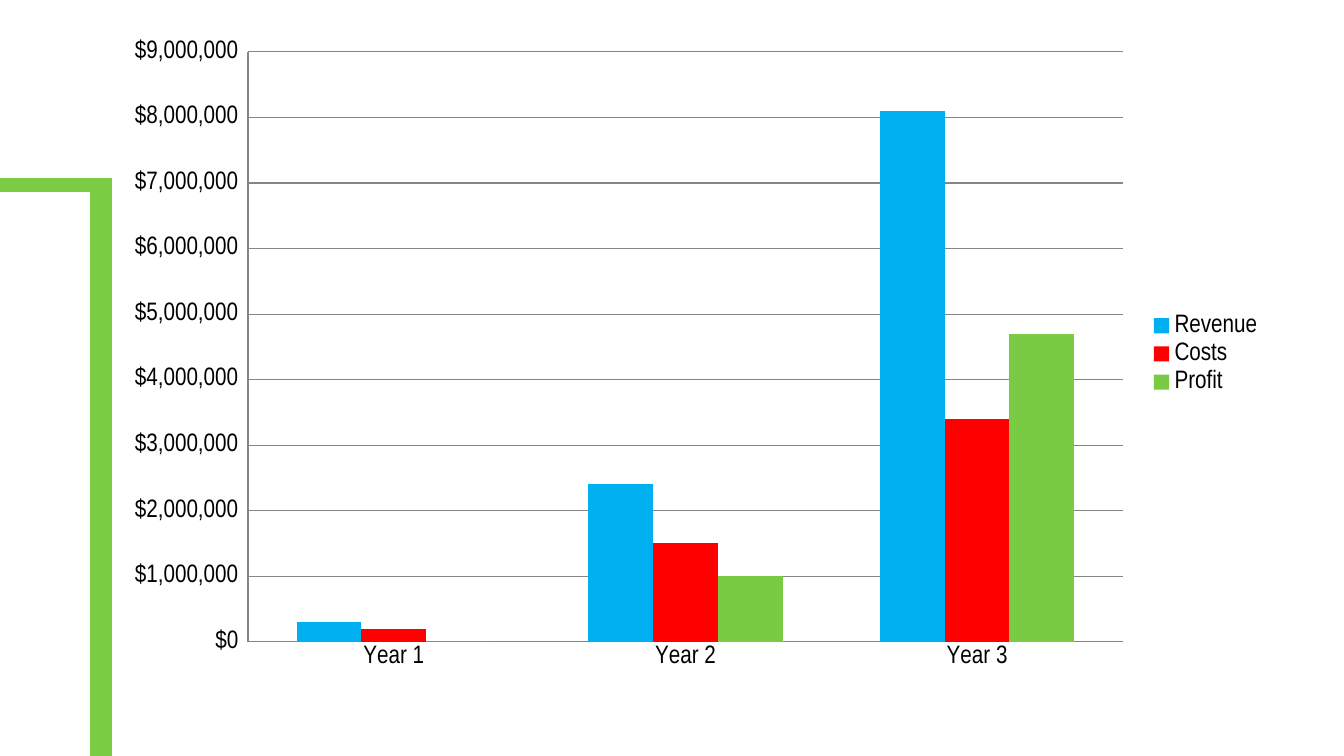
from lxml.etree import SubElement
from pptx import Presentation
from pptx.chart.data import CategoryChartData
from pptx.dml.color import RGBColor
from pptx.enum.chart import XL_CHART_TYPE, XL_LEGEND_POSITION, XL_TICK_MARK
from pptx.enum.shapes import MSO_CONNECTOR
from pptx.oxml import parse_xml
from pptx.oxml.ns import nsdecls, qn
from pptx.util import Emu, Pt

COLORS = {
    "text": "000000",
    "axis": "868686",
    "frame": "7ACC43",
    "revenue": "00B0F0",
    "costs": "FF0000",
    "profit": "7ACB44",
}
WIDTH, HEIGHT = 1344, 756
EMU_PER_PX = 914400 / 100.8
MONEY = '"$"#,##0_);[Red]\\("$"#,##0\\)'


def px(n):
    return Emu(round(n * EMU_PER_PX))


def rgb(name):
    return RGBColor.from_string(COLORS[name])


class SlideBuilder:
    def __init__(self, prs, font, size):
        self.slide = prs.slides.add_slide(prs.slide_layouts[6])
        self.font = font
        self.size = size

    def line(self, x1, y1, x2, y2, color, weight):
        ends = [px(n) for n in (x1, y1, x2, y2)]
        c = self.slide.shapes.add_connector(MSO_CONNECTOR.STRAIGHT, *ends)
        c.line.color.rgb = rgb(color)
        c.line.width = Pt(weight)
        SubElement(c.element.spPr, qn("a:effectLst"))

    def set_font(self, font):
        font.name = self.font
        font.size = Pt(self.size)
        font.color.rgb = rgb("text")

    def set_axis(self, axis):
        axis.major_tick_mark = XL_TICK_MARK.NONE
        axis.minor_tick_mark = XL_TICK_MARK.NONE
        self.set_font(axis.tick_labels.font)
        self.set_line(axis.format.line)

    def set_line(self, line):
        line.color.rgb = rgb("axis")
        line.width = Pt(0.75)

    def set_plot_area(self, chart, x, y, w, h):
        area = chart.element.find(".//" + qn("c:plotArea"))
        for old in area.findall(qn("c:layout")):
            area.remove(old)
        sizes = "".join(
            f'<c:{tag} val="{val}"/>' for tag, val in zip("xywh", (x, y, w, h))
        )
        area.insert(0, parse_xml(
            f'<c:layout {nsdecls("c")}><c:manualLayout>'
            '<c:layoutTarget val="inner"/>'
            '<c:xMode val="edge"/><c:yMode val="edge"/>'
            f'{sizes}</c:manualLayout></c:layout>'
        ))

    def column_chart(self, x, y, w, h, plot_box, categories, series, top, step):
        data = CategoryChartData(number_format=MONEY)
        data.categories = categories
        for name, values in series.items():
            data.add_series(name, values)
        chart = self.slide.shapes.add_chart(
            XL_CHART_TYPE.COLUMN_CLUSTERED, px(x), px(y), px(w), px(h), data
        ).chart
        self.set_font(chart.font)
        chart.has_title = False
        chart.has_legend = True
        chart.legend.position = XL_LEGEND_POSITION.RIGHT
        chart.legend.include_in_layout = False
        self.set_font(chart.legend.font)

        plot = chart.plots[0]
        plot.gap_width = 150
        plot.overlap = 0
        plot.vary_by_categories = False
        for s in plot.series:
            s.format.fill.solid()
            s.format.fill.fore_color.rgb = rgb(s.name.lower())

        self.set_axis(chart.category_axis)
        values = chart.value_axis
        self.set_axis(values)
        values.minimum_scale = 0
        values.maximum_scale = top
        values.major_unit = step
        values.has_major_gridlines = True
        self.set_line(values.major_gridlines.format.line)
        values.tick_labels.number_format = MONEY
        values.tick_labels.number_format_is_linked = False

        left, upper, width, height = plot_box
        self.set_plot_area(
            chart,
            round((left - x) / w, 4),
            round((upper - y) / h, 4),
            round(width / w, 4),
            round(height / h, 4),
        )


def main():
    prs = Presentation()
    prs.slide_width, prs.slide_height = px(WIDTH), px(HEIGHT)
    s = SlideBuilder(prs, "Arial Narrow", 18)
    s.line(0, 185, 112, 185, "frame", 10)
    s.column_chart(
        111, 27, 1163, 654,
        plot_box=(248, 52, 875, 590),
        categories=["Year 1", "Year 2", "Year 3"],
        series={
            "Revenue": (300000, 2400000, 8100000),
            "Costs": (200000, 1500000, 3400000),
            "Profit": (0, 1000000, 4700000),
        },
        top=9000000,
        step=1000000,
    )
    s.line(101, HEIGHT, 101, 178, "frame", 15.5)
    prs.save("out.pptx")


if __name__ == "__main__":
    main()
